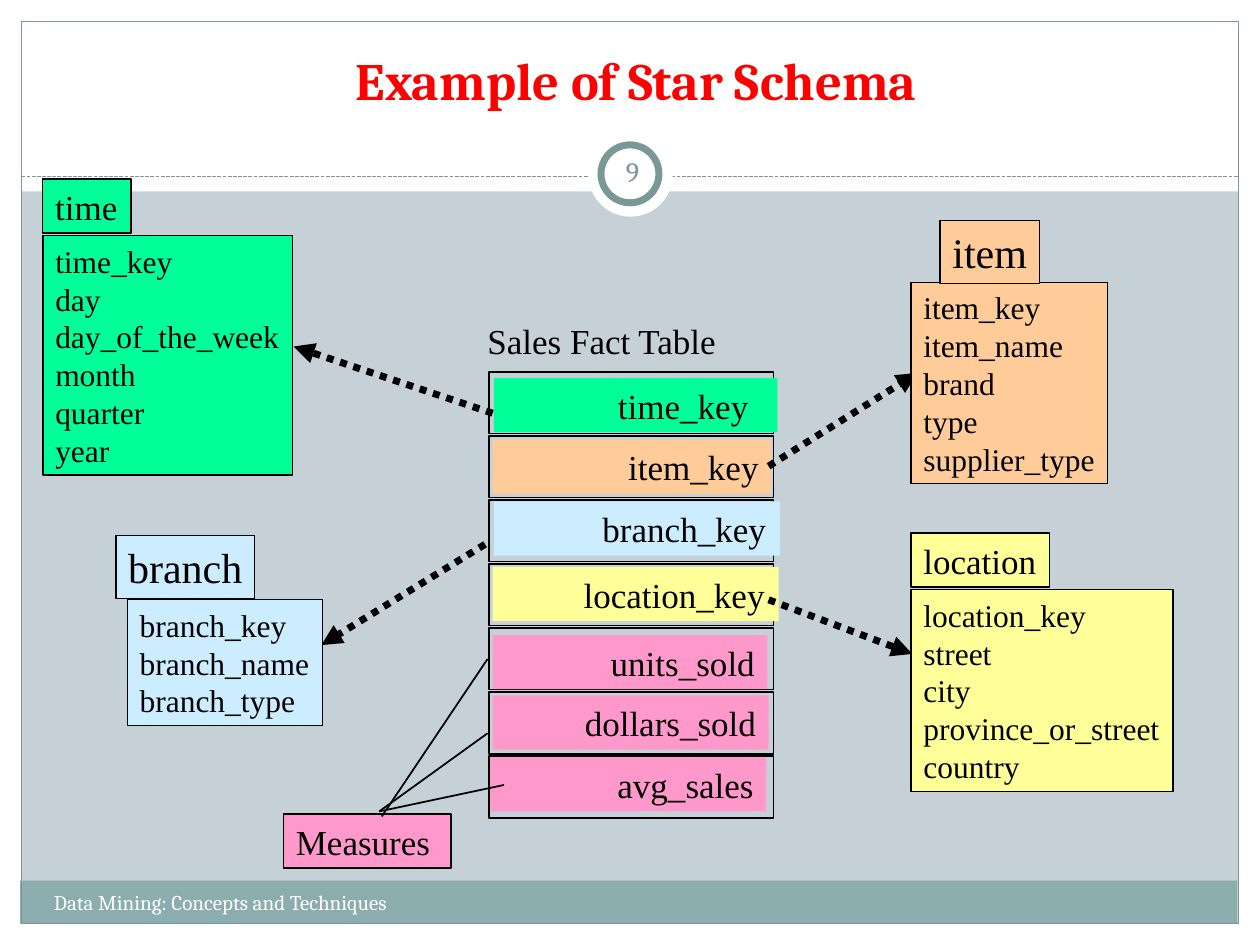
from lxml.etree import SubElement
from pptx import Presentation
from pptx.dml.color import RGBColor
from pptx.enum.dml import MSO_LINE as Dash
from pptx.enum.shapes import MSO_CONNECTOR as Connector, MSO_SHAPE as Shape
from pptx.enum.text import MSO_ANCHOR as Anchor, MSO_AUTO_SIZE as AutoSize, PP_ALIGN as Align
from pptx.oxml.ns import qn
from pptx.util import Inches, Pt

SERIF, HEADING = "Times New Roman", "Cambria"
BLACK, WHITE, RED, SLATE = "000000", "FFFFFF", "FF0000", "7B9899"
GREEN, ORANGE, BLUE, YELLOW, PINK = "00FF99", "FFCC99", "CCECFF", "FFFF99", "FF99CC"

FRAME_BANDS = [
    ((0, 7.33, 10, 0.17), WHITE),
    ((0, 0, 10, 1.52), WHITE),
    ((0, 0, 0.17, 7.5), WHITE),
    ((9.83, 0, 0.17, 7.5), WHITE),
    ((0.16, 6.99, 9.66, 0.34), "8CADAE"),
]

DIMENSIONS = [
    (GREEN, (0.34, 1.87, 1.98, 1.9), (0.34, 1.42, 0.7, 0.43), "time", 20, Align.LEFT,
     ["time_key", "day", "day_of_the_week", "month", "quarter", "year"]),
    (YELLOW, (7.23, 4.68, 2.08, 1.6), (7.23, 4.23, 1.1, 0.43), "location", 20, Align.LEFT,
     ["location_key", "street", "city", "province_or_street", "country"]),
    (ORANGE, (7.23, 2.24, 1.56, 1.6), (7.46, 1.75, 0.79, 0.5), "item", 24, Align.CENTER,
     ["item_key", "item_name", "brand", "type", "supplier_type"]),
    (BLUE, (1.01, 4.76, 1.55, 1), (0.92, 4.25, 1.1, 0.5), "branch", 24, Align.CENTER,
     ["branch_key", "branch_name", "branch_type"]),
]
HEADER_MARGINS = {Align.LEFT: 0.1, Align.CENTER: 0.02}

ROW_LEFT, ROW_TOP, ROW_WIDTH, ROW_HEIGHT = 3.88, 2.95, 2.26, 0.49
ROW_PITCH = 3.05 / 6
FACT_ROWS = [
    ("time_key", GREEN, (3.92, 3, 2.25, 0.43), 0.23),
    ("item_key", ORANGE, (3.91, 3.49, 2.21, 0.43), 0.1),
    ("branch_key", BLUE, (3.92, 3.98, 2.27, 0.43), 0.11),
    ("location_key", YELLOW, (3.91, 4.5, 2.27, 0.43), 0.11),
    ("units_sold", PINK, (3.91, 5.04, 2.18, 0.43), 0.1),
    ("dollars_sold", PINK, (3.91, 5.52, 2.19, 0.43), 0.1),
    ("avg_sales", PINK, (3.89, 6.01, 2.19, 0.43), 0.1),
]

MEASURE_LINES = [
    ((3.03, 6.48), (3.87, 5.23)),
    ((3.01, 6.44), (3.87, 5.82)),
    ((3.01, 6.44), (4, 6.23)),
]
KEY_ARROWS = [
    ((3.85, 4.32), (2.55, 5.12)),
    ((3.91, 3.28), (2.33, 2.75)),
    ((6.1, 4.76), (7.24, 5.19)),
    ((6.1, 3.7), (7.28, 2.96)),
]


def color(value):
    return RGBColor.from_string(value)


def set_attributes(target, values):
    for name, value in values.items():
        setattr(target, name, value)


def add_box(page, place, fill=None, line=None, width=0.75, kind=Shape.RECTANGLE):
    box = page.shapes.add_shape(kind, *map(Inches, place))
    box.shadow.inherit = False
    if fill:
        box.fill.solid()
        box.fill.fore_color.rgb = color(fill)
    else:
        box.fill.background()
    if line:
        box.line.color.rgb = color(line)
        box.line.width = Pt(width)
    else:
        box.line.fill.background()
    return box


def write(box, lines, size, font=SERIF, ink=BLACK, align=Align.LEFT, bold=False, **frame_values):
    frame = box.text_frame
    values = {
        "word_wrap": True, "vertical_anchor": Anchor.TOP,
        "margin_left": Inches(0.1), "margin_right": Inches(0.1),
        "margin_top": Inches(0.05), "margin_bottom": Inches(0.05),
    }
    set_attributes(frame, {**values, **frame_values})
    for index, text in enumerate(lines):
        para = frame.add_paragraph() if index else frame.paragraphs[0]
        para.alignment = align
        span = para.add_run()
        span.text = text
        set_attributes(span.font, {"name": font, "size": Pt(size), "bold": bold})
        span.font.color.rgb = color(ink)


def add_label(page, place, lines, size, **values):
    write(page.shapes.add_textbox(*map(Inches, place)), lines, size, **values)


def add_line(page, start, end, width=1, ink=BLACK, dash=None, arrow=False):
    line = page.shapes.add_connector(Connector.STRAIGHT, *map(Inches, start + end))
    line.line.color.rgb = color(ink)
    set_attributes(line.line, {"width": Pt(width), "dash_style": dash})
    if arrow:
        SubElement(line.line._get_or_add_ln(), qn("a:tailEnd"), type="triangle")
    SubElement(line._element.spPr, qn("a:effectLst"))


def add_frame(page):
    for place, fill in FRAME_BANDS:
        add_box(page, place, fill)
    add_box(page, (0.17, 0.17, 9.66, 7.16), line=SLATE)
    add_line(page, (0.17, 1.4), (9.83, 1.4), 0.75, SLATE, Dash.SQUARE_DOT)
    add_box(page, (4.67, 1.05, 0.67, 0.67), WHITE, kind=Shape.OVAL)
    add_box(page, (4.77, 1.15, 0.46, 0.46), WHITE, SLATE, 4, Shape.OVAL)
    add_label(page, (1.1, 0.45, 7.9, 0.48), ["Example of Star Schema"], 30, font=HEADING,
              ink=RED, align=Align.CENTER, bold=True, vertical_anchor=Anchor.BOTTOM,
              margin_top=0)
    add_label(page, (0.33, 7.01, 3.92, 0.4), ["Data Mining: Concepts and Techniques"], 12,
              font=HEADING, ink=WHITE)
    add_label(page, (4.77, 1.12, 0.5, 0.48), ["9"], 16, font=HEADING, ink=SLATE,
              align=Align.CENTER, vertical_anchor=Anchor.MIDDLE,
              margin_left=Inches(0.05), margin_right=Inches(0.05))


def add_fact_table(page):
    add_label(page, (3.77, 2.49, 2.04, 0.43), ["Sales Fact Table"], 20,
              word_wrap=False, auto_size=AutoSize.SHAPE_TO_FIT_TEXT)
    for index, (name, fill, place, margin) in enumerate(FACT_ROWS):
        top = ROW_TOP + index * ROW_PITCH
        add_box(page, (ROW_LEFT, top, ROW_WIDTH, ROW_HEIGHT), line=BLACK, width=1)
        write(add_box(page, place, fill), [name], 20, align=Align.RIGHT,
              margin_right=Inches(margin))


def add_dimension(page, fill, body, header, name, size, align, columns):
    tight = {"margin_right": Inches(0.02)}
    write(add_box(page, body, fill, BLACK), columns, 18, **tight)
    write(add_box(page, header, fill, BLACK), [name], size, align=align,
          margin_left=Inches(HEADER_MARGINS[align]), **tight)


def main():
    deck = Presentation()
    set_attributes(deck, {"slide_width": Inches(10), "slide_height": Inches(7.5)})
    page = deck.slides.add_slide(deck.slide_layouts[6])
    page.background.fill.solid()
    page.background.fill.fore_color.rgb = color("C5D1D7")
    add_frame(page)
    add_fact_table(page)
    write(add_box(page, (2.25, 6.46, 1.33, 0.43), PINK, BLACK), ["Measures"], 20)
    for start, end in MEASURE_LINES:
        add_line(page, start, end)
    for start, end in KEY_ARROWS:
        add_line(page, start, end, 4, dash=Dash.ROUND_DOT, arrow=True)
    for dimension in DIMENSIONS:
        add_dimension(page, *dimension)
    deck.save("out.pptx")


if __name__ == "__main__":
    main()
